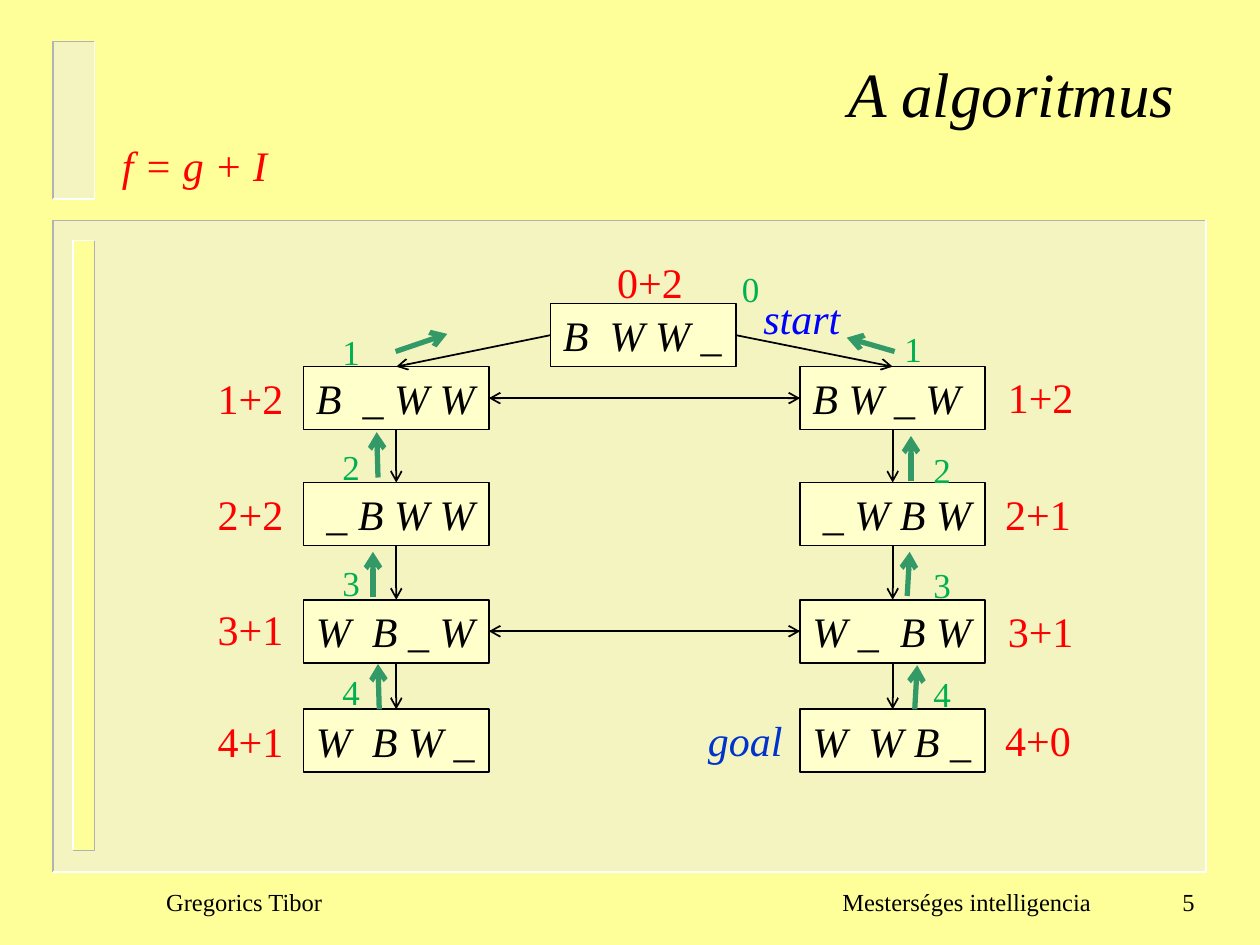
from dataclasses import dataclass
from itertools import pairwise

from lxml import etree
from pptx import Presentation
from pptx.dml.color import RGBColor
from pptx.enum.shapes import MSO_CONNECTOR, MSO_SHAPE
from pptx.enum.text import MSO_ANCHOR, MSO_AUTO_SIZE, PP_ALIGN
from pptx.oxml.ns import qn
from pptx.util import Inches, Pt

STRAIGHT = MSO_CONNECTOR.STRAIGHT
RECTANGLE = MSO_SHAPE.RECTANGLE
TOP, MIDDLE = MSO_ANCHOR.TOP, MSO_ANCHOR.MIDDLE
LEFT, RIGHT = PP_ALIGN.LEFT, PP_ALIGN.RIGHT
NO_FIT = MSO_AUTO_SIZE.NONE
TITLE_ONLY = 5


@dataclass(frozen=True)
class Theme:
    font: str = "Times New Roman"
    page: str = "FFFF99"
    panel: str = "EAEAEA"
    shade: str = "B2B2B2"
    light: str = "FFFFFF"
    state: str = "FFFFCC"
    ink: str = "000000"
    value: str = "FF0000"
    order: str = "00B050"
    back_arrow: str = "339966"
    start: str = "0000FF"
    goal: str = "0033CC"
    title_size: int = 36
    body_size: int = 24
    order_size: int = 20
    footer_size: int = 14


@dataclass(frozen=True)
class Label:
    text: str
    left: float
    top: float
    width: float
    color: str
    size: int = 24
    italic: bool = False
    align: PP_ALIGN = LEFT
    anchor: MSO_ANCHOR = TOP
    height: float = 0.5
    wrap: bool = False


@dataclass(frozen=True)
class Panel:
    left: float
    top: float
    width: float
    height: float
    fill: str
    opacity: int
    upper_line: str
    lower_line: str


@dataclass(frozen=True)
class Branch:
    left: float
    states: tuple
    values: tuple
    value_places: tuple
    order_places: tuple
    back_arrows: tuple


THEME = Theme()
BOX_WIDTH, BOX_HEIGHT = 1.47, 0.5
ROOT_LEFT, ROOT_TOP = 4.37, 2.41
ROW_TOPS = (2.91, 3.83, 4.76, 5.63)
LINKED_ROWS = (0, 2)

PANELS = (
    Panel(0.42, 1.75, 9.15, 5.17, THEME.panel, 50, THEME.shade, THEME.light),
    Panel(0.58, 1.91, 0.17, 4.84, THEME.page, 100, THEME.light, THEME.shade),
    Panel(0.42, 0.33, 0.33, 1.25, THEME.panel, 50, THEME.shade, THEME.light),
)
BRANCHES = (
    Branch(
        2.41,
        ("B  _ W W", " _ B W W", "W  B _ W", "W  B W _"),
        ("1+2", "2+2", "3+1", "4+1"),
        ((1.63, 2.91), (1.63, 3.83), (1.63, 4.74), (1.63, 5.63)),
        ((2.62, 2.57), (2.62, 3.49), (2.62, 4.41), (2.62, 5.27)),
        (((3.14, 2.79), (3.55, 2.65)), ((3, 3.79), (2.99, 3.43)),
         ((2.96, 4.74), (2.96, 4.38)), ((3.01, 5.63), (3, 5.27))),
    ),
    Branch(
        6.35,
        ("B W _ W", " _ W B W", "W _  B W", "W  W B _"),
        ("1+2", "2+1", "3+1", "4+0"),
        ((7.9, 2.9), (7.88, 3.83), (7.9, 4.76), (7.88, 5.62)),
        ((7.08, 2.55), (7.31, 3.51), (7.31, 4.42), (7.31, 5.29)),
        (((7.1, 2.79), (6.72, 2.68)), ((7.23, 3.82), (7.23, 3.46)),
         ((7.2, 4.73), (7.22, 4.38)), ((7.26, 5.63), (7.28, 5.28))),
    ),
)
LABELS = (
    Label("start", 5.96, 2.27, 0.82, THEME.start, italic=True),
    Label("goal", 5.52, 5.62, 0.8, THEME.goal, italic=True),
    Label("f = g + I", 0.87, 1.06, 1.37, THEME.value, italic=True),
    Label("0+2", 4.8, 1.99, 0.73, THEME.value),
    Label("0", 5.79, 2.07, 0.42, THEME.order, THEME.order_size),
    Label("Gregorics Tibor", 1.22, 6.91, 1.5, THEME.ink, THEME.footer_size,
          anchor=MIDDLE),
    Label("Mesterséges intelligencia", 6.56, 6.91, 2.2, THEME.ink,
          THEME.footer_size, align=RIGHT, anchor=MIDDLE),
    Label("5", 8.98, 6.91, 0.6, THEME.ink, THEME.footer_size,
          align=RIGHT, anchor=MIDDLE),
)


def rgb(color: str) -> RGBColor:
    return RGBColor.from_string(color)


def set_values(target, values: dict) -> None:
    for name, value in values.items():
        setattr(target, name, value)


def write_text(shape, label: Label) -> None:
    frame = shape.text_frame
    set_values(frame, {"word_wrap": label.wrap, "auto_size": NO_FIT,
                       "vertical_anchor": label.anchor})
    para = frame.paragraphs[0]
    para.alignment = label.align
    span = para.add_run()
    span.text = label.text
    set_values(span.font, {"name": THEME.font, "size": Pt(label.size),
                           "italic": label.italic, "bold": False})
    span.font.color.rgb = rgb(label.color)


def area(item) -> tuple:
    return tuple(Inches(n) for n in (item.left, item.top, item.width, item.height))


def draw_label(page, label: Label) -> None:
    write_text(page.shapes.add_textbox(*area(label)), label)


def draw_state(page, label: Label) -> None:
    box = page.shapes.add_shape(RECTANGLE, *area(label))
    box.shadow.inherit = False
    box.fill.solid()
    box.fill.fore_color.rgb = rgb(THEME.state)
    box.line.color.rgb = rgb(THEME.ink)
    box.line.width = Pt(1)
    write_text(box, label)


def draw_edge(page, points: tuple, color: str) -> None:
    corners = [(Inches(x), Inches(y)) for x, y in points]
    builder = page.shapes.build_freeform(*corners[0])
    builder.add_line_segments(corners[1:], close=False)
    edge = builder.convert_to_shape()
    edge.shadow.inherit = False
    edge.fill.background()
    edge.line.color.rgb = rgb(color)
    edge.line.width = Pt(1)


def draw_panel(page, panel: Panel) -> None:
    box = page.shapes.add_shape(RECTANGLE, *area(panel))
    box.shadow.inherit = False
    box.fill.solid()
    box.fill.fore_color.rgb = rgb(panel.fill)
    box.line.fill.background()
    color = box.element.spPr.find(qn("a:solidFill"))[0]
    etree.SubElement(color, qn("a:alpha"), val=str(panel.opacity * 1000))
    right, bottom = panel.left + panel.width, panel.top + panel.height
    upper_right, lower_left = (right, panel.top), (panel.left, bottom)
    draw_edge(page, (upper_right, (panel.left, panel.top), lower_left), panel.upper_line)
    draw_edge(page, (upper_right, (right, bottom), lower_left), panel.lower_line)


def draw_arrow(page, begin: tuple, end: tuple, color: str, width: float) -> None:
    ends = [Inches(n) for n in (*begin, *end)]
    arrow = page.shapes.add_connector(STRAIGHT, *ends)
    arrow.line.color.rgb = rgb(color)
    arrow.line.width = Pt(width)
    properties = arrow.element.spPr
    etree.SubElement(properties.find(qn("a:ln")), qn("a:tailEnd"), type="arrow")
    etree.SubElement(properties, qn("a:effectLst"))


def draw_branch(page, branch: Branch) -> None:
    center = branch.left + BOX_WIDTH / 2
    for state, top in zip(branch.states, ROW_TOPS):
        draw_state(page, Label(state, branch.left, top, BOX_WIDTH, THEME.ink, italic=True))
    for upper, lower in pairwise(ROW_TOPS):
        draw_arrow(page, (center, upper + BOX_HEIGHT), (center, lower), THEME.ink, 1)
    root_side = ROOT_LEFT if branch.left < ROOT_LEFT else ROOT_LEFT + BOX_WIDTH
    draw_arrow(page, (root_side, ROOT_TOP + BOX_HEIGHT / 2), (center, ROW_TOPS[0]), THEME.ink, 1)
    for value, place in zip(branch.values, branch.value_places):
        draw_label(page, Label(value, *place, 0.73, THEME.value))
    for order, place in enumerate(branch.order_places, 1):
        draw_label(page, Label(str(order), *place, 0.37, THEME.order, THEME.order_size, height=0.44))
    for begin, end in branch.back_arrows:
        draw_arrow(page, begin, end, THEME.back_arrow, 3)


def main() -> None:
    deck = Presentation()
    set_values(deck, {"slide_width": Inches(10), "slide_height": Inches(7.5)})
    page = deck.slides.add_slide(deck.slide_layouts[TITLE_ONLY])
    page.background.fill.solid()
    page.background.fill.fore_color.rgb = rgb(THEME.page)
    for panel in PANELS:
        draw_panel(page, panel)
    heading = Label("A algoritmus", 0.92, 0.38, 8.5, THEME.ink, THEME.title_size,
                    italic=True, align=RIGHT, height=1.21, wrap=True)
    title = page.shapes.title
    set_values(title, dict(zip(("left", "top", "width", "height"), area(heading))))
    write_text(title, heading)
    draw_state(page, Label("B  W W _", ROOT_LEFT, ROOT_TOP, BOX_WIDTH, THEME.ink, italic=True))
    for branch in BRANCHES:
        draw_branch(page, branch)
    for row in LINKED_ROWS:
        middle = ROW_TOPS[row] + BOX_HEIGHT / 2
        inner = (BRANCHES[0].left + BOX_WIDTH, middle), (BRANCHES[1].left, middle)
        for begin, end in (inner, inner[::-1]):
            draw_arrow(page, begin, end, THEME.ink, 1)
    for label in LABELS:
        draw_label(page, label)
    deck.save("out.pptx")


if __name__ == "__main__":
    main()
